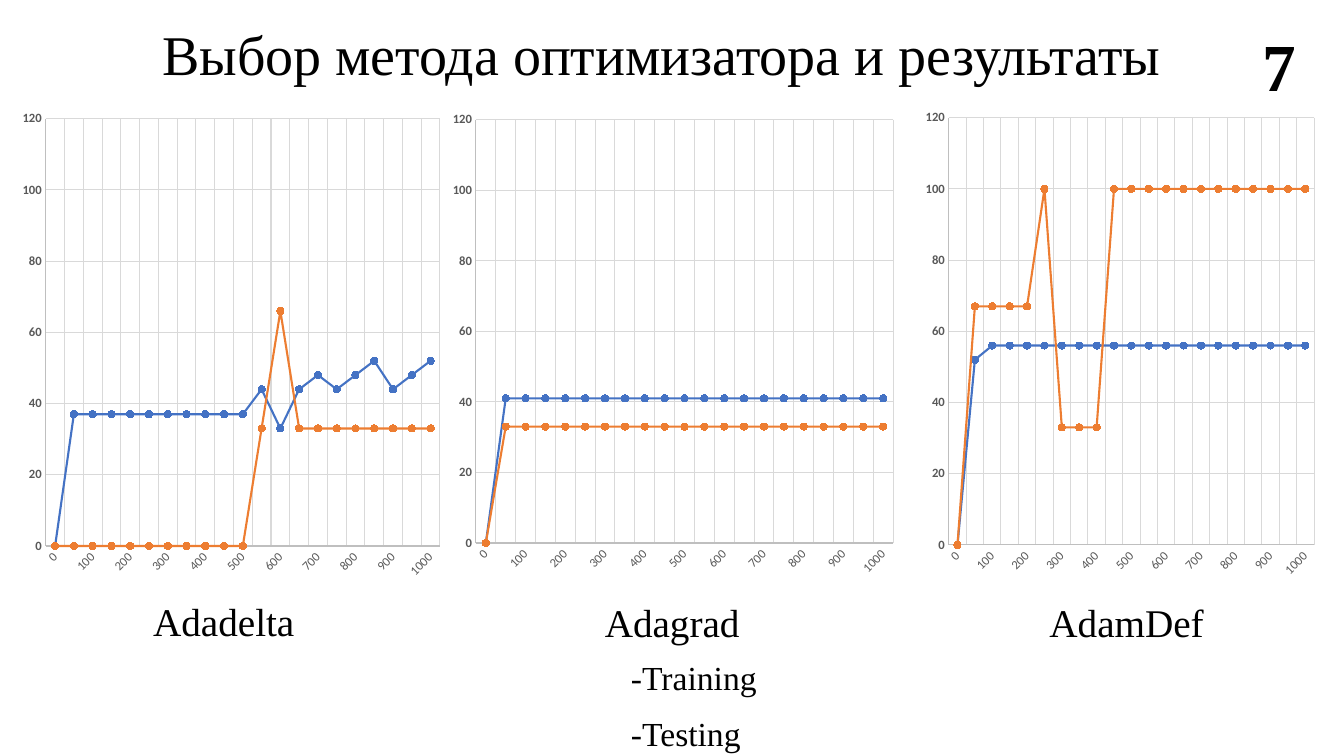
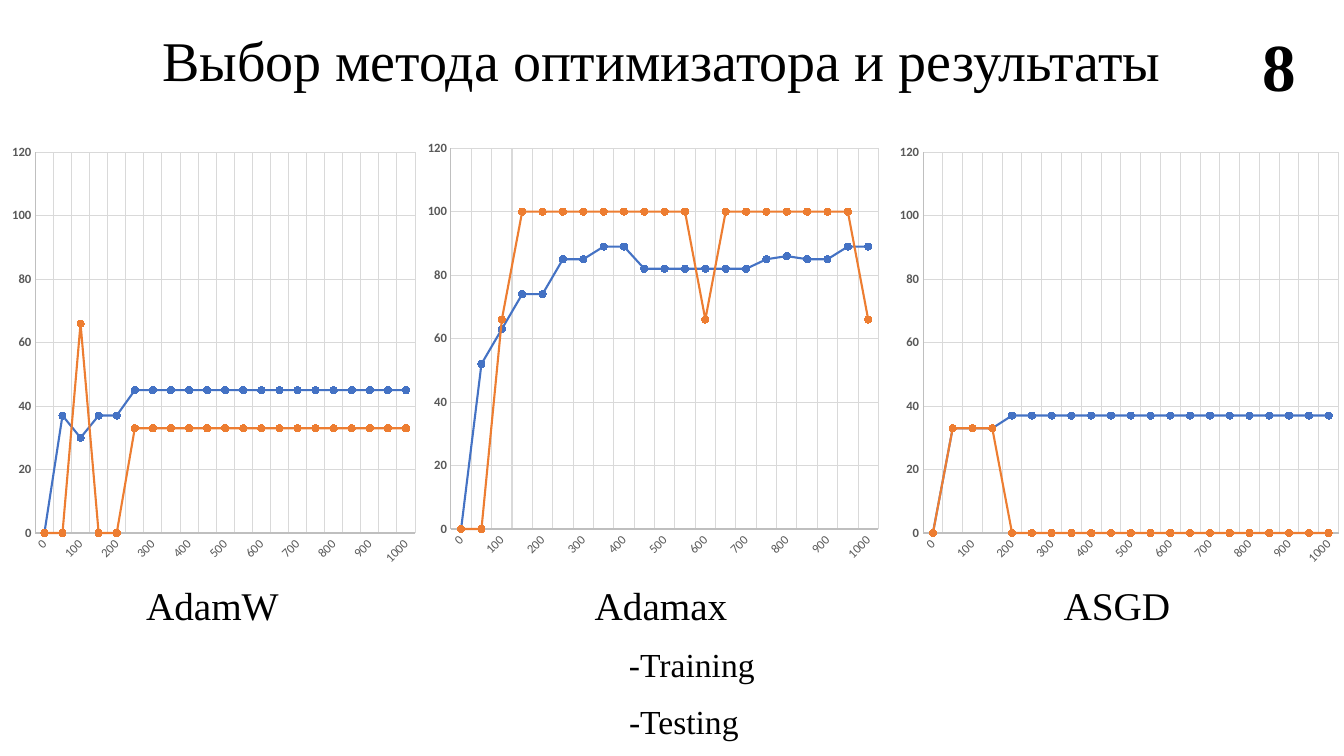
from lxml import etree
from pptx import Presentation
from pptx.chart.data import CategoryChartData
from pptx.dml.color import RGBColor
from pptx.enum.chart import XL_CHART_TYPE, XL_MARKER_STYLE, XL_TICK_MARK
from pptx.enum.text import MSO_AUTO_SIZE
from pptx.oxml.ns import qn
from pptx.util import Inches, Pt

LINE_MARKERS = XL_CHART_TYPE.LINE_MARKERS
CIRCLE = XL_MARKER_STYLE.CIRCLE
NO_TICK = XL_TICK_MARK.NONE
FIT_SHAPE = MSO_AUTO_SIZE.SHAPE_TO_FIT_TEXT

# Shared style
BLACK, LABEL_GREY, AXIS_GREY, GRID_GREY = "000000", "595959", "BFBFBF", "D9D9D9"
SERIES_COLORS = ["4472C4", "ED7D31"]
TEXT_FONT, CHART_FONT = "Times New Roman", "Calibri"
TITLE = "Выбор метода оптимизатора и результаты"
STEPS = [str(step) for step in range(0, 1001, 50)]


def color(hex_string):
    return RGBColor.from_string(hex_string)


def add_text(page, text, left, top, width, height, size, bold=False, wrap=True):
    box = page.shapes.add_textbox(Inches(left), Inches(top), Inches(width), Inches(height))
    box.text_frame.word_wrap = wrap
    box.text_frame.auto_size = FIT_SHAPE
    para = box.text_frame.paragraphs[0]
    para.text = text
    para.font.name = TEXT_FONT
    para.font.size = Pt(size)
    para.font.bold = bold
    para.font.color.rgb = color(BLACK)


# Captions: text, left, top, width
# Charts: position and size, inner plot area (fractions), training and testing values
SLIDES = [
    {
        "number": "7", "title_top": 0.14, "legend_left": 6.16, "legend_tops": [6.47, 7.02],
        "captions": [("Adadelta", 1.42, 5.88, 1.65), ("Adagrad", 5.9, 5.89, 1.54),
                     ("AdamDef", 10.31, 5.89, 2.11)],
        "charts": [
            ((0, 0.92, 4.49, 4.97), (0.101, 0.052, 0.871, 0.853),
             [0] + [37] * 10 + [44, 33, 44, 48, 44, 48, 52, 44, 48, 52],
             [0] * 11 + [33, 66] + [33] * 8),
            ((4.49, 0.92, 4.49, 4.97), (0.051, 0.054, 0.922, 0.845),
             [0] + [41] * 20,
             [0] + [33] * 20),
            ((8.99, 0.91, 4.16, 4.97), (0.101, 0.052, 0.871, 0.853),
             [0, 52] + [56] * 19,
             [0] + [67] * 4 + [100] + [33] * 3 + [100] * 12),
        ],
    },
    {
        "number": "8", "title_top": 0.2, "legend_left": 6.14, "legend_tops": [6.34, 6.9],
        "captions": [("AdamW", 1.35, 5.72, 1.58), ("Adamax", 5.8, 5.72, 1.74),
                     ("ASGD", 10.45, 5.72, 1.73)],
        "charts": [
            ((0, 1.28, 4.28, 4.43), (0.082, 0.052, 0.88, 0.853),
             [0, 37, 30, 37, 37] + [45] * 16,
             [0, 0, 66, 0, 0] + [33] * 16),
            ((4.17, 1.24, 4.66, 4.43), (0.065, 0.052, 0.91, 0.853),
             [0, 52, 63, 74, 74, 85, 85, 89, 89] + [82] * 6 + [85, 86, 85, 85, 89, 89],
             [0, 0, 66] + [100] * 9 + [66] + [100] * 7 + [66]),
            ((8.83, 1.28, 4.51, 4.43), (0.072, 0.052, 0.914, 0.853),
             [0] + [33] * 3 + [37] * 17,
             [0] + [33] * 3 + [0] * 17),
        ],
    },
]

deck = Presentation()
deck.slide_width, deck.slide_height = Inches(13.33), Inches(7.5)

for content in SLIDES:
    page = deck.slides.add_slide(deck.slide_layouts[6])

    # Title and slide number
    add_text(page, TITLE, 1.51, content["title_top"], 10.32, 0.77, 40, wrap=False)
    add_text(page, content["number"], 12.42, 0.19, 0.49, 0.91, 48, bold=True)

    # Charts
    for place, plot, training, testing in content["charts"]:
        data = CategoryChartData()
        data.categories = STEPS
        data.add_series("Series 1", training)
        data.add_series("Series 2", testing)
        frame = page.shapes.add_chart(LINE_MARKERS, *[Inches(n) for n in place], data)
        chart = frame.chart
        chart.has_legend = chart.has_title = False
        chart.font.name, chart.font.size = CHART_FONT, Pt(10)
        chart.font.color.rgb = color(BLACK)

        for series, series_color in zip(chart.plots[0].series, SERIES_COLORS):
            series.smooth = False
            series.format.line.width = Pt(1.5)
            series.marker.style, series.marker.size = CIRCLE, 5
            series.marker.format.fill.solid()
            series.marker.format.fill.fore_color.rgb = color(series_color)
            for line in (series.format.line, series.marker.format.line):
                line.color.rgb = color(series_color)

        chart.value_axis.maximum_scale = 120
        for axis in (chart.category_axis, chart.value_axis):
            axis.major_tick_mark = axis.minor_tick_mark = NO_TICK
            axis.has_major_gridlines = True
            font = axis.tick_labels.font
            font.name, font.size = CHART_FONT, Pt(9)
            font.bold = axis is chart.value_axis
            font.color.rgb = color(LABEL_GREY)
            for line, line_color in ((axis.format.line, AXIS_GREY),
                                     (axis.major_gridlines.format.line, GRID_GREY)):
                line.color.rgb = color(line_color)
                line.width = Pt(0.75)
        chart.value_axis.tick_labels.font.bold = True

        # Slanted labels on every second step
        category_xml = chart.category_axis._element
        category_xml.find(qn("c:txPr")).find(qn("a:bodyPr")).set("rot", "-2700000")
        skip = etree.Element(qn("c:tickLblSkip"), val="2")
        category_xml.find(qn("c:noMultiLvlLbl")).addprevious(skip)

        # Fixed inner plot area
        plot_area = chart._chartSpace.chart.plotArea
        for old_layout in plot_area.findall(qn("c:layout")):
            plot_area.remove(old_layout)
        layout = etree.Element(qn("c:layout"))
        manual = etree.SubElement(layout, qn("c:manualLayout"))
        settings = [("layoutTarget", "inner"), ("xMode", "edge"), ("yMode", "edge")]
        settings += zip("xywh", map(str, plot))
        for tag, value in settings:
            etree.SubElement(manual, qn("c:" + tag), val=value)
        plot_area.insert(0, layout)

    # Captions and legend
    for text, left, top, width in content["captions"]:
        add_text(page, text, left, top, width, 0.57, 28)
    for text, top, width in zip(["-Training", "-Testing"], content["legend_tops"], [1.5, 1.59]):
        add_text(page, text, content["legend_left"], top, width, 0.5, 24)

deck.save("out.pptx")
